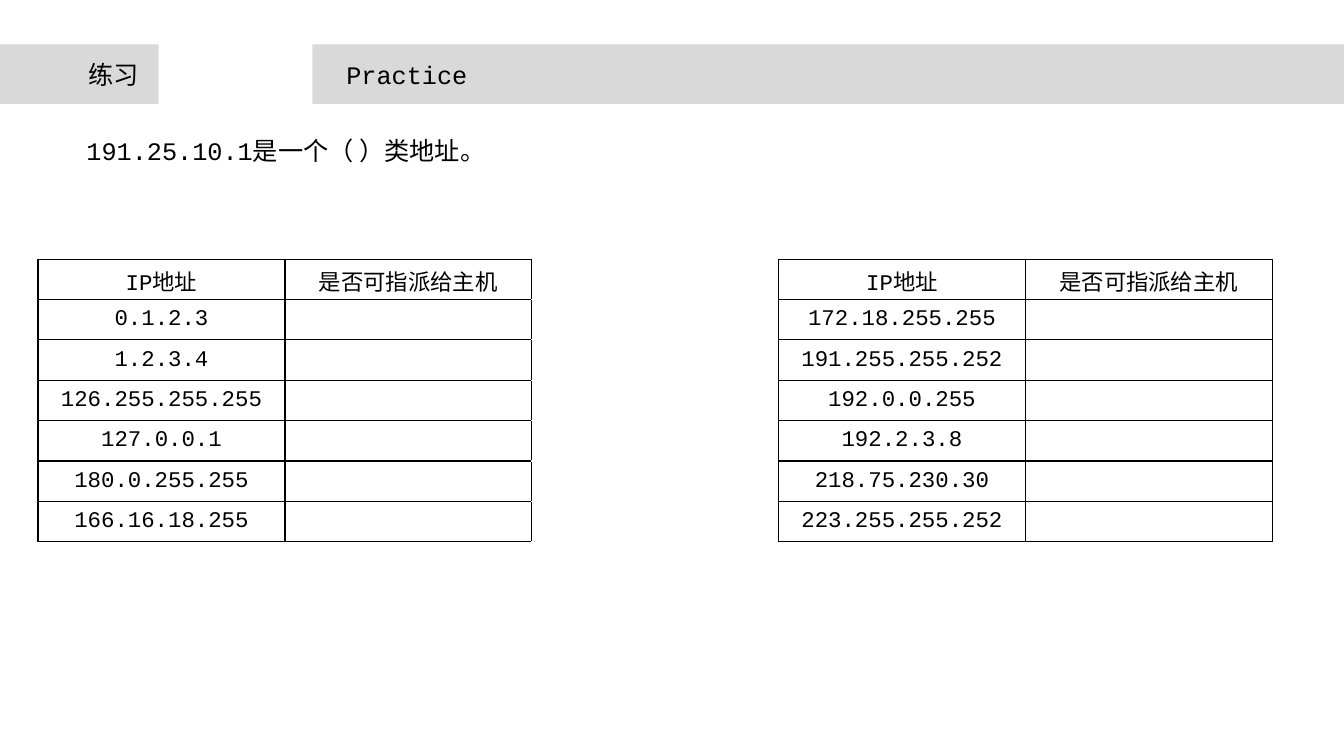
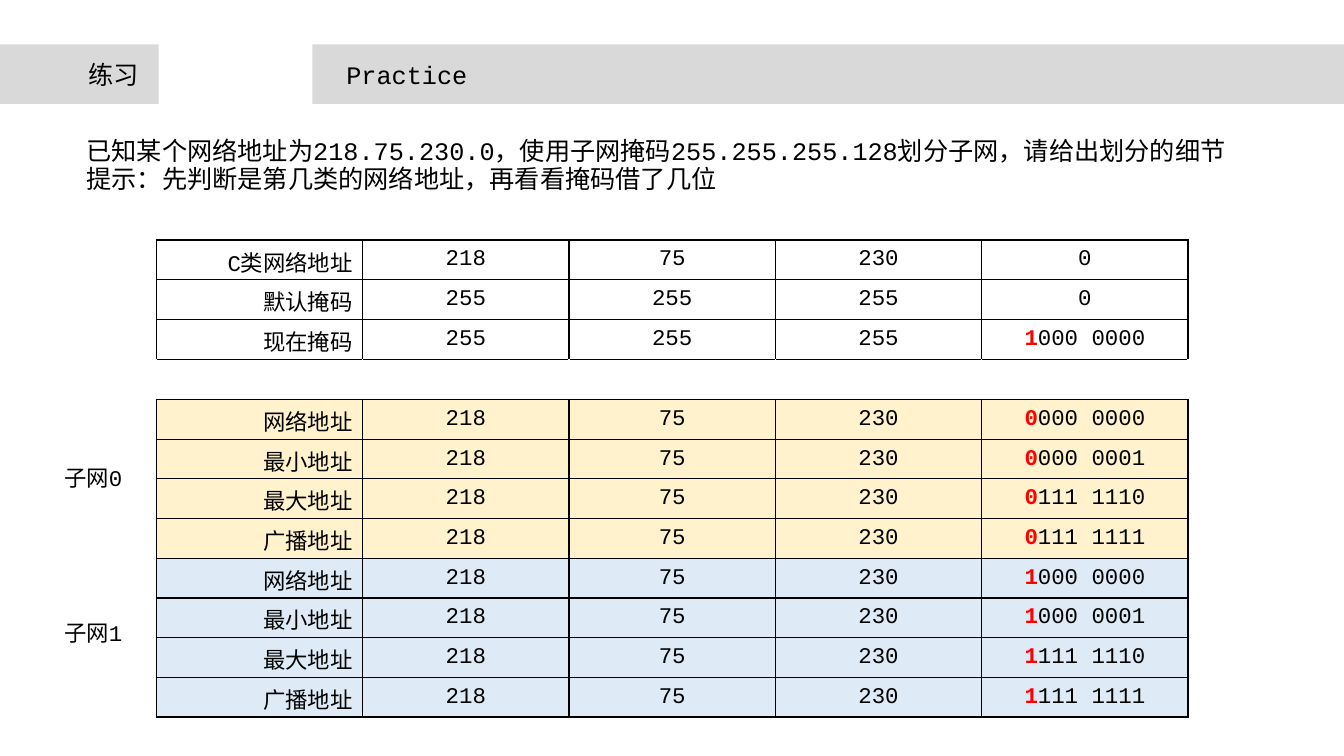
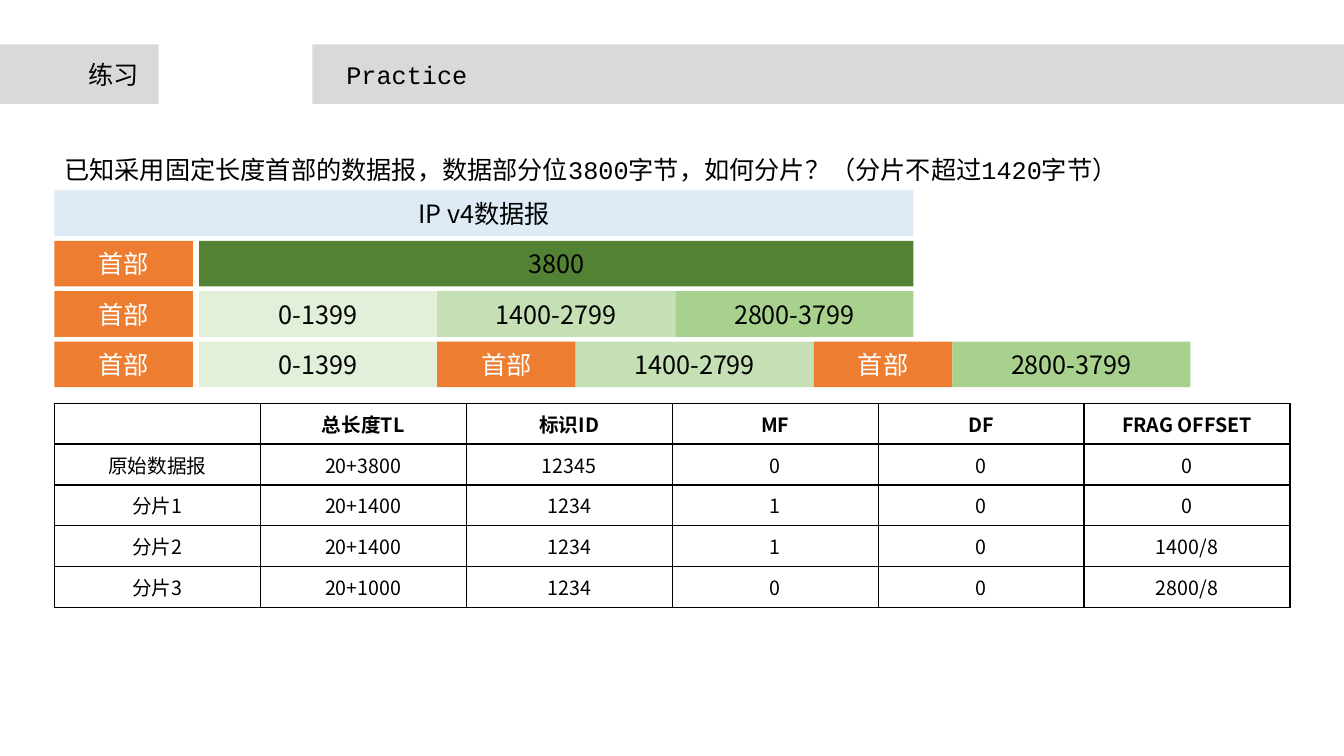
from lxml import etree
from pptx import Presentation
from pptx.dml.color import RGBColor
from pptx.enum import shapes, text
from pptx.oxml import ns
from pptx.util import Cm, Pt

INK = {
    "black": "000000", "white": "FFFFFF", "red": "FF0000", "band": "D9D9D9",
    "cream": "FFF2CC", "sky": "DEEBF7", "orange": "ED7D31", "forest": "548235",
    "mint": "E2F0D9", "leaf": "C5E0B4", "grass": "A9D18E",
}
MONO, SANS = "Courier New", "Noto Sans CJK SC"
LEFT, MID, RIGHT = text.PP_ALIGN.LEFT, text.PP_ALIGN.CENTER, text.PP_ALIGN.RIGHT


def color(name):
    return RGBColor.from_string(INK[name])


def write(frame, words, size=18, face=MONO, ink="black", bold=False,
          align=LEFT, space=None):
    """Fill a frame, one paragraph a line; a part before "|" is red and bold."""
    for i, line in enumerate(words.split("\n")):
        para = frame.add_paragraph() if i else frame.paragraphs[0]
        para.alignment = align
        if space:
            para.line_spacing = space
        mark, bar, rest = line.partition("|")
        parts = [(mark, "red", True), (rest, ink, bold)] if bar else [(line, ink, bold)]
        for part, tint, heavy in parts:
            run = para.add_run()
            run.text = part
            font = run.font
            font.size, font.name, font.bold = Pt(size), face, heavy
            font.color.rgb = color(tint)
            east = etree.SubElement(font._element, ns.qn("a:ea"))
            east.set("typeface", SANS)


def border(cell, sides):
    props = cell._tc.get_or_add_tcPr()
    for side in sides:
        line = etree.SubElement(props, ns.qn("a:ln" + side), w=str(Pt(1)))
        fill = etree.SubElement(line, ns.qn("a:solidFill"))
        etree.SubElement(fill, ns.qn("a:srgbClr"), val=INK["black"])


class Deck:
    def __init__(self):
        self.file = Presentation()
        self.file.slide_width, self.file.slide_height = Cm(33.87), Cm(19.05)
        self.slide = None

    def start(self):
        """Add a slide with the title bands."""
        self.slide = self.file.slides.add_slide(self.file.slide_layouts[6])
        self.box(7.87, 1.12, 26, 1.5, "band")
        self.box(0, 1.12, 4, 1.5, "band")
        self.label(1.98, 1.37, 1.8, 1.02, "练习", wrap=False, face=SANS)
        self.label(8.48, 1.37, 3.58, 1.02, "Practice", wrap=False)

    def box(self, x, y, wide, high, fill, words="", **style):
        shape = self.slide.shapes.add_shape(
            shapes.MSO_SHAPE.RECTANGLE, Cm(x), Cm(y), Cm(wide), Cm(high))
        shape.shadow.inherit = False
        shape.fill.solid()
        shape.fill.fore_color.rgb = color(fill)
        shape.line.fill.background()
        if words:
            shape.text_frame.vertical_anchor = text.MSO_ANCHOR.MIDDLE
            write(shape.text_frame, words, face=SANS, align=MID, **style)

    def label(self, x, y, wide, high, words, wrap=True, **style):
        frame = self.slide.shapes.add_textbox(
            Cm(x), Cm(y), Cm(wide), Cm(high)).text_frame
        frame.word_wrap = wrap
        write(frame, words, **style)

    def table(self, x, y, wide, high, rows, first=MID, fills=None, gap_row=None,
              gap_col=None, head=False, **style):
        """Draw a grid of equal cells; a gap row or column keeps inner edges only."""
        count = len(rows[0])
        grid = self.slide.shapes.add_table(
            len(rows), count, Cm(x), Cm(y), Cm(wide * count), Cm(high * len(rows))).table
        grid.first_row = grid.horz_banding = False
        for col in grid.columns:
            col.width = Cm(wide)
        for r, row in enumerate(rows):
            grid.rows[r].height = Cm(high)
            for c, words in enumerate(row):
                cell = grid.cell(r, c)
                border(cell, "TB" if r == gap_row else "LR" if c == gap_col else "LRTB")
                if fills and fills[r]:
                    cell.fill.solid()
                    cell.fill.fore_color.rgb = color(fills[r])
                else:
                    cell.fill.background()
                cell.vertical_anchor = text.MSO_ANCHOR.MIDDLE
                write(cell.text_frame, words, align=MID if c else first,
                      bold=head and r == 0, **style)

    def chain(self, x, y, high, parts):
        """Set boxes side by side."""
        for wide, fill, words, ink in parts:
            self.box(x, y, wide, high, fill, words, ink=ink)
            x += wide


def hosts(deck):
    deck.start()
    deck.label(1.93, 3.38, 30, 12.83, "191.25.10.1是一个（ ）类地址。", space=0.9)
    pairs = [
        ("0.1.2.3", "172.18.255.255"), ("1.2.3.4", "191.255.255.252"),
        ("126.255.255.255", "192.0.0.255"), ("127.0.0.1", "192.2.3.8"),
        ("180.0.255.255", "218.75.230.30"), ("166.16.18.255", "223.255.255.252"),
    ]
    top = ["IP地址", "是否可指派给主机"]
    rows = [top + [""] + top] + [[a, "", "", b, ""] for a, b in pairs]
    deck.table(0.96, 6.53, 6.22, 1, rows, gap_col=2, size=16)


def subnets(deck):
    deck.start()
    deck.label(1.93, 3.38, 30, 12.83,
               "已知某个网络地址为218.75.230.0，使用子网掩码255.255.255.128划分子网，请给出划分的细节\n"
               "提示：先判断是第几类的网络地址，再看看掩码借了几位", space=0.9)
    net, mask = ["218", "75", "230"], ["255"] * 3
    rows = [["C类网络地址", *net, "0"], ["默认掩码", *mask, "0"],
            ["现在掩码", *mask, "1|000 0000"], [""] * 5]
    kinds = [("网络地址", "000 0000"), ("最小地址", "000 0001"),
             ("最大地址", "111 1110"), ("广播地址", "111 1111")]
    rows += [[kind, *net, f"{bit}|{tail}"] for bit in (0, 1) for kind, tail in kinds]
    fills = [None] * 4 + ["cream"] * 4 + ["sky"] * 4
    deck.table(3.94, 6.05, 5.2, 1, rows, first=RIGHT, fills=fills, gap_row=3, size=16)
    for i, y in enumerate((11.58, 15.47)):
        deck.label(1.37, y, 2, 0.94, f"子网{i}", size=16)


def pieces(deck):
    deck.start()
    deck.label(1.37, 3.86, 31.12, 12.32,
               "已知采用固定长度首部的数据报，数据部分位3800字节，如何分片？（分片不超过1420字节）",
               space=0.9)
    rows = [
        ["", "总长度TL", "标识ID", "MF", "DF", "FRAG OFFSET"],
        ["原始数据报", "20+3800", "12345", "0", "0", "0"],
        ["分片1", "20+1400", "1234", "1", "0", "0"],
        ["分片2", "20+1400", "1234", "1", "0", "1400/8"],
        ["分片3", "20+1000", "1234", "0", "0", "2800/8"],
    ]
    deck.table(1.37, 10.16, 5.19, 1.03, rows, head=True, size=14, face=SANS)

    x, y, step, high, gap = 1.37, 4.8, 1.27, 1.15, 0.16
    head = (3.49, "orange", "首部", "white")
    data = (18, "forest", "3800", "black")
    one, two, three = [(6, fill, words, "black") for fill, words in (
        ("mint", "0-1399"), ("leaf", "1400-2799"), ("grass", "2800-3799"))]
    deck.box(x, y, head[0] + gap + data[0], high, "sky", "IP v4数据报")
    bars = [[data], [one, two, three], [one, head, two, head, three]]
    for i, bar in enumerate(bars, 1):
        deck.chain(x, y + i * step, high, [head])
        deck.chain(x + head[0] + gap, y + i * step, high, bar)


def main():
    deck = Deck()
    for build in (hosts, subnets, pieces):
        build(deck)
    deck.file.save("out.pptx")


if __name__ == "__main__":
    main()
